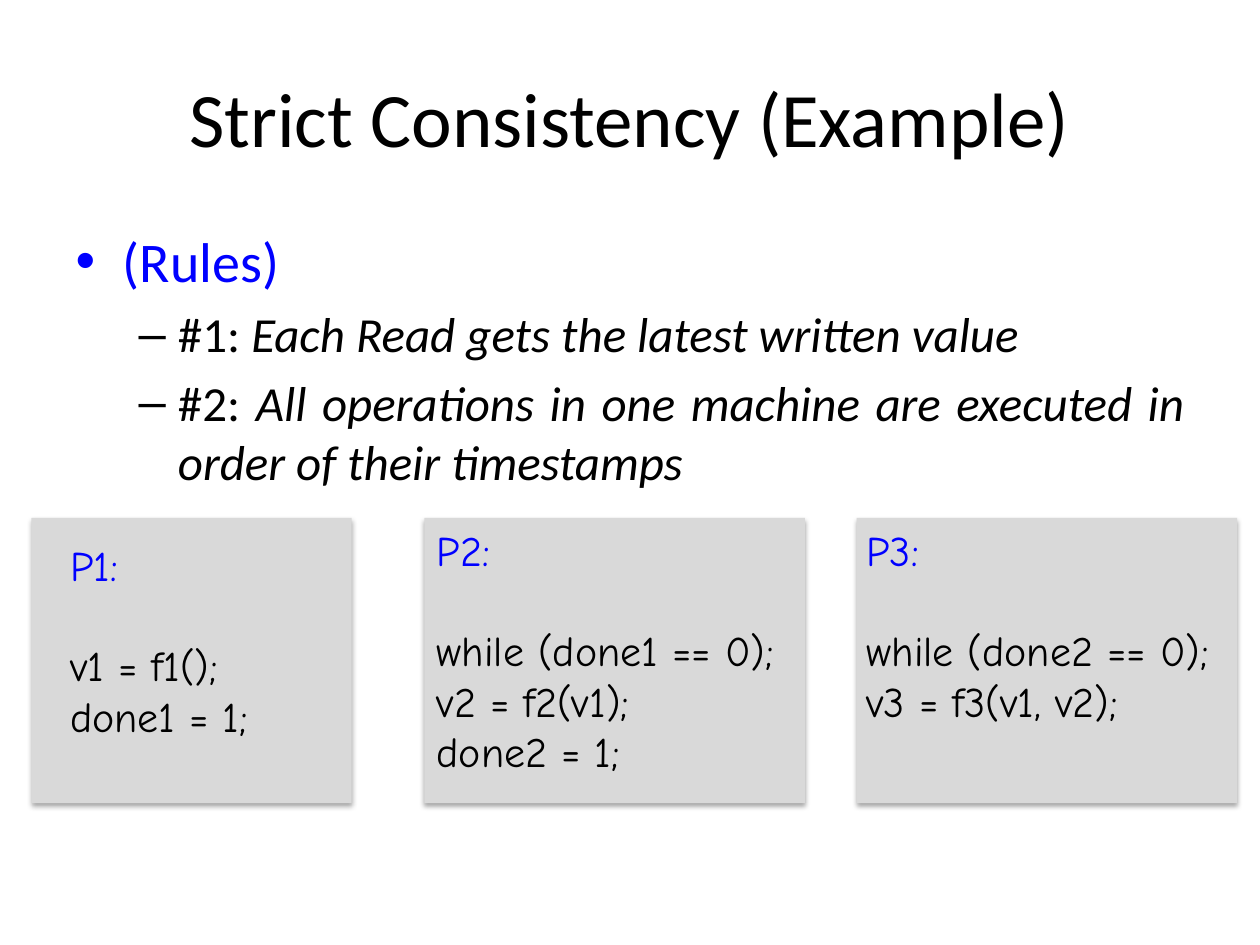
from typing import NamedTuple

from lxml.etree import SubElement
from pptx import Presentation
from pptx.dml.color import RGBColor
from pptx.enum.shapes import MSO_SHAPE as Shape
from pptx.enum.text import MSO_ANCHOR as Anchor, PP_ALIGN as Align
from pptx.oxml.ns import qn
from pptx.util import Pt

BLACK = RGBColor(0x00, 0x00, 0x00)
BLUE = RGBColor(0x00, 0x00, 0xFF)
GREY = RGBColor(0xD9, 0xD9, 0xD9)
TEXT_FONT = "Calibri"
CODE_FONT = "Comic Neue"
PANEL_TOP, PANEL_HEIGHT = 296, 163


class Process(NamedTuple):
    label: str
    code: list[str]
    panel_left: float
    panel_width: float
    code_left: float
    code_top: float
    code_width: float


class Rule(NamedTuple):
    number: str
    wording: str


PROCESSES = [
    Process("P1:", ["v1 = f1();", "done1 = 1;"],
            18, 183, 33, 304.5, 194),
    Process("P2:", ["while (done1 == 0);", "v2 = f2(v1);", "done2 = 1;"],
            242.5, 217.5, 242.5, PANEL_TOP, 232.5),
    Process("P3:", ["while (done2 == 0);", "v3 = f3(v1, v2);"],
            489.5, 217.5, 488, PANEL_TOP, 222.5),
]
RULES = [
    Rule("#1: ", "Each Read gets the latest written value"),
    Rule("#2: ", "All operations in one machine are executed in order "
                 "of their timestamps"),
]


def place(shape, left: float, top: float, width: float, height: float) -> None:
    shape.left, shape.top = Pt(left), Pt(top)
    shape.width, shape.height = Pt(width), Pt(height)


def add_run(paragraph, text: str, size: float, color: RGBColor,
            font: str = TEXT_FONT, italic: bool = False) -> None:
    run = paragraph.add_run()
    run.text = text
    run.font.name = font
    run.font.size = Pt(size)
    run.font.italic = italic
    run.font.color.rgb = color


def add_soft_shadow(shape) -> None:
    shape.shadow.inherit = False
    effects = shape._element.spPr.find(qn("a:effectLst"))
    shadow = SubElement(effects, qn("a:outerShdw"), blurRad=str(Pt(3.1)),
                        dist=str(Pt(1.8)), dir="5400000", rotWithShape="0")
    color = SubElement(shadow, qn("a:srgbClr"), val="000000")
    SubElement(color, qn("a:alpha"), val="35000")


def draw_panel(slide, process: Process) -> None:
    panel = slide.shapes.add_shape(
        Shape.RECTANGLE, Pt(process.panel_left), Pt(PANEL_TOP),
        Pt(process.panel_width), Pt(PANEL_HEIGHT))
    panel.fill.solid()
    panel.fill.fore_color.rgb = GREY
    panel.line.fill.background()
    add_soft_shadow(panel)


def draw_code(slide, process: Process) -> None:
    line_height = 28.8
    height = line_height * (len(process.code) + 2) + 7.2
    listing = slide.shapes.add_textbox(
        Pt(process.code_left), Pt(process.code_top),
        Pt(process.code_width), Pt(height)).text_frame
    listing.word_wrap = True
    heading = listing.paragraphs[0]
    heading.alignment = Align.JUSTIFY
    add_run(heading, process.label, 24, BLUE, CODE_FONT)
    for index, statement in enumerate(process.code):
        line = listing.add_paragraph()
        line.alignment = Align.JUSTIFY
        # One line of space sets the code apart from its label
        line.space_before = Pt(line_height if index == 0 else 0)
        add_run(line, statement, 24, BLACK, CODE_FONT)


def main() -> None:
    deck = Presentation()
    deck.slide_width, deck.slide_height = Pt(720), Pt(540)
    slide = deck.slides.add_slide(deck.slide_layouts[1])

    # Title
    title = slide.shapes.title
    place(title, 36, 21.6, 648, 90)
    title.text_frame.vertical_anchor = Anchor.MIDDLE
    heading = title.text_frame.paragraphs[0]
    heading.alignment = Align.CENTER
    add_run(heading, "Strict Consistency (Example)", 44, BLACK)

    # Rules
    body = slide.placeholders[1]
    place(body, 36, 126, 648, 356.4)
    rules_heading = body.text_frame.paragraphs[0]
    add_run(rules_heading, "(Rules)", 32, BLUE)
    for rule in RULES:
        item = body.text_frame.add_paragraph()
        item.level = 1
        item.alignment = Align.JUSTIFY
        add_run(item, rule.number, 28, BLACK)
        add_run(item, rule.wording, 28, BLACK, italic=True)

    # Programs of the three processes
    for process in PROCESSES:
        draw_panel(slide, process)
        draw_code(slide, process)

    deck.save("out.pptx")


if __name__ == "__main__":
    main()
